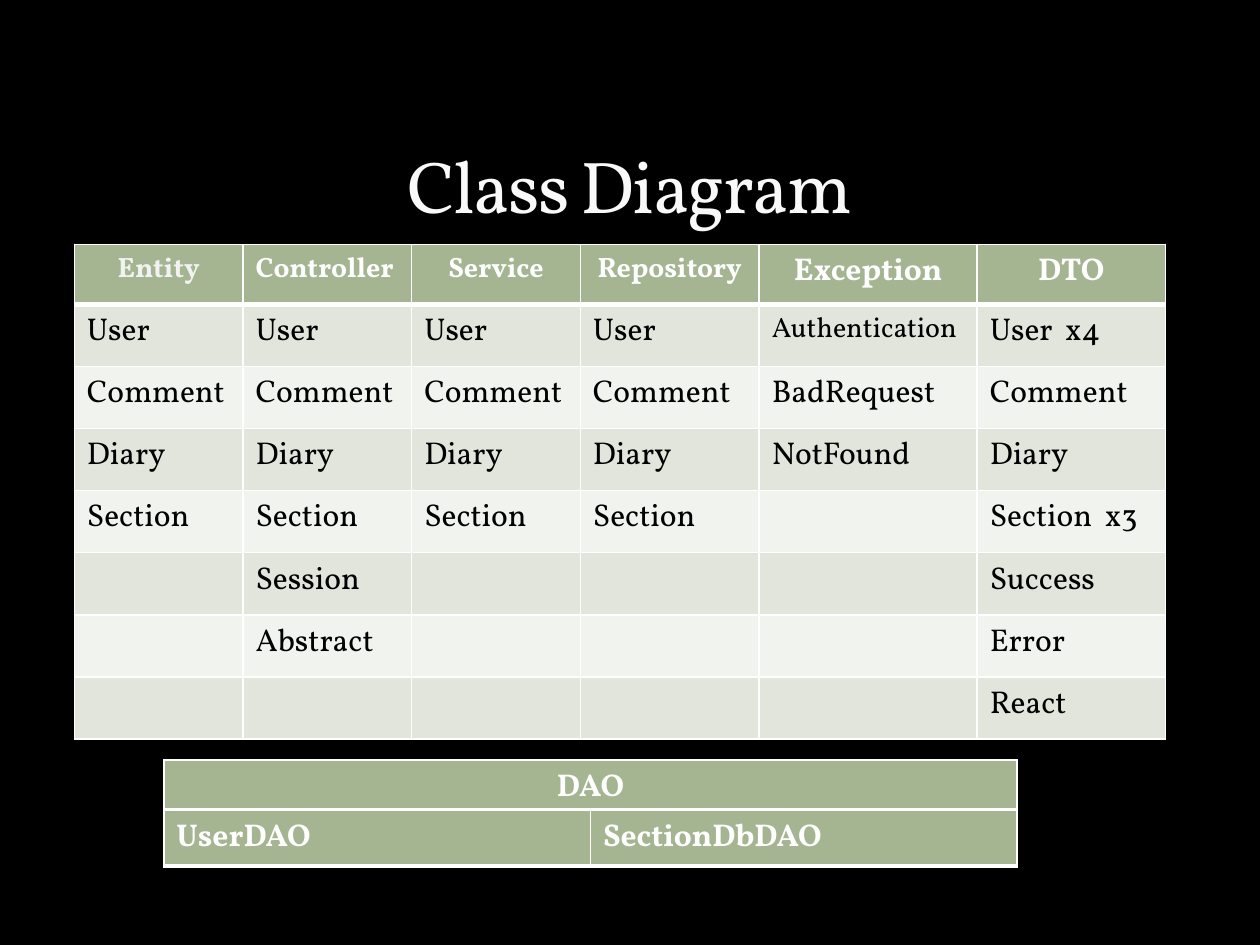
from lxml.etree import SubElement
from pptx import Presentation
from pptx.dml.color import RGBColor
from pptx.enum.text import MSO_ANCHOR, PP_ALIGN
from pptx.oxml.ns import qn
from pptx.util import Pt

COLORS = {
    "background": "000000",
    "title": "F9F9F9",
    "header": "A5B592",
    "muted": "F2F2F2",
    "white": "FFFFFF",
    "black": "000000",
    "odd": "E1E5DC",
    "even": "F0F3EE",
}
COLUMNS = {
    "Entity": ["User", "Comment", "Diary", "Section"],
    "Controller": ["User", "Comment", "Diary", "Section", "Session", "Abstract"],
    "Service": ["User", "Comment", "Diary", "Section"],
    "Repository": ["User", "Comment", "Diary", "Section"],
    "Exception": ["Authentication", "BadRequest", "NotFound"],
    "DTO": ["User  x4", "Comment", "Diary", "Section  x3", "Success", "Error", "React"],
}
CLASS_WIDTHS = [96.4, 96.4, 96.4, 102.2, 124.6, 107.6]
ROW_COUNT = max(len(names) for names in COLUMNS.values())
HEADER_FORMAT = {"fill": "header", "color": "white", "bold": True, "bottom": 3}
DAO_LEFT, DAO_WIDTH = 93.6, 487.6


class SlideBuilder:
    """Draws styled text and tables on the current slide."""

    font_name = "Vollkorn"

    def __init__(self, presentation):
        self.slide = presentation.slides.add_slide(presentation.slide_layouts[6])
        fill = self.slide.background.fill
        fill.solid()
        fill.fore_color.rgb = RGBColor.from_string(COLORS["background"])

    def add_text(self, paragraph, text, size, color, bold=False, align=PP_ALIGN.LEFT):
        paragraph.alignment = align
        run = paragraph.add_run()
        run.text = text
        values = {"name": self.font_name, "size": Pt(size), "bold": bold}
        for name, value in values.items():
            setattr(run.font, name, value)
        run.font.color.rgb = RGBColor.from_string(COLORS[color])
        return run

    def title(self, text, left, top, width, height):
        shape = self.slide.shapes.add_textbox(Pt(left), Pt(top), Pt(width), Pt(height))
        values = {"word_wrap": True, "vertical_anchor": MSO_ANCHOR.BOTTOM}
        for name, value in values.items():
            setattr(shape.text_frame, name, value)
        paragraph = shape.text_frame.paragraphs[0]
        run = self.add_text(paragraph, text, 42, "title", align=PP_ALIGN.CENTER)
        run.font._element.set("spc", "-100")

    def border(self, cell, side, width):
        line = SubElement(cell._tc.get_or_add_tcPr(), qn(f"a:ln{side}"), w=str(Pt(width)))
        SubElement(SubElement(line, qn("a:solidFill")), qn("a:srgbClr"), val=COLORS["white"])

    def cell(self, cell, text, fill, color, size=18, bold=False,
             align=PP_ALIGN.LEFT, bottom=1, top=None):
        for side, width in {"L": 1, "R": 1, "T": top, "B": bottom}.items():
            if width:
                self.border(cell, side, width)
        cell.fill.solid()
        cell.fill.fore_color.rgb = RGBColor.from_string(COLORS[fill])
        if text:
            self.add_text(cell.text_frame.paragraphs[0], text, size, color, bold, align)

    def table(self, left, top, widths, heights, rows):
        shape = self.slide.shapes.add_table(
            len(heights), len(widths), Pt(left), Pt(top), Pt(sum(widths)), Pt(sum(heights)))
        table = shape.table
        for name in ("first_row", "horz_banding"):
            setattr(table, name, False)
        for column, width in zip(table.columns, widths):
            column.width = Pt(width)
        for row, height in zip(table.rows, heights):
            row.height = Pt(height)
        for row_index, row in enumerate(rows):
            for column_index, (text, values) in enumerate(row):
                top_width = 1 if row_index == 0 else None
                self.cell(table.cell(row_index, column_index), text, top=top_width, **values)


def header_cell(name):
    values = HEADER_FORMAT | {"align": PP_ALIGN.CENTER}
    if name not in ("Exception", "DTO"):
        values["size"] = 16
    if name == "Entity":
        values["color"] = "muted"
    if name == "Controller":
        values["align"] = PP_ALIGN.LEFT
    return name, values


def body_cell(names, index):
    text = names[index] if index < len(names) else ""
    values = {"fill": "even" if index % 2 else "odd", "color": "black"}
    if text == "Authentication":
        values["size"] = 16
    return text, values


def main():
    presentation = Presentation()
    presentation.slide_width, presentation.slide_height = Pt(720), Pt(540)
    builder = SlideBuilder(presentation)
    builder.title("Class Diagram", 36, 12.2, 648, 121.7)

    rows = [[header_cell(name) for name in COLUMNS]]
    for index in range(ROW_COUNT):
        rows.append([body_cell(names, index) for names in COLUMNS.values()])
    builder.table(42.5, 139.7, CLASS_WIDTHS, [34.2] + [35.5] * ROW_COUNT, rows)

    dao_header = ("DAO", HEADER_FORMAT | {"align": PP_ALIGN.CENTER})
    builder.table(DAO_LEFT, 434.2, [DAO_WIDTH], [28.8], [[dao_header]])
    dao_names = [(name, HEADER_FORMAT) for name in ("UserDAO", "SectionDbDAO")]
    builder.table(DAO_LEFT, 463, [DAO_WIDTH / 2] * 2, [31.8], [dao_names])
    presentation.save("out.pptx")


if __name__ == "__main__":
    main()
